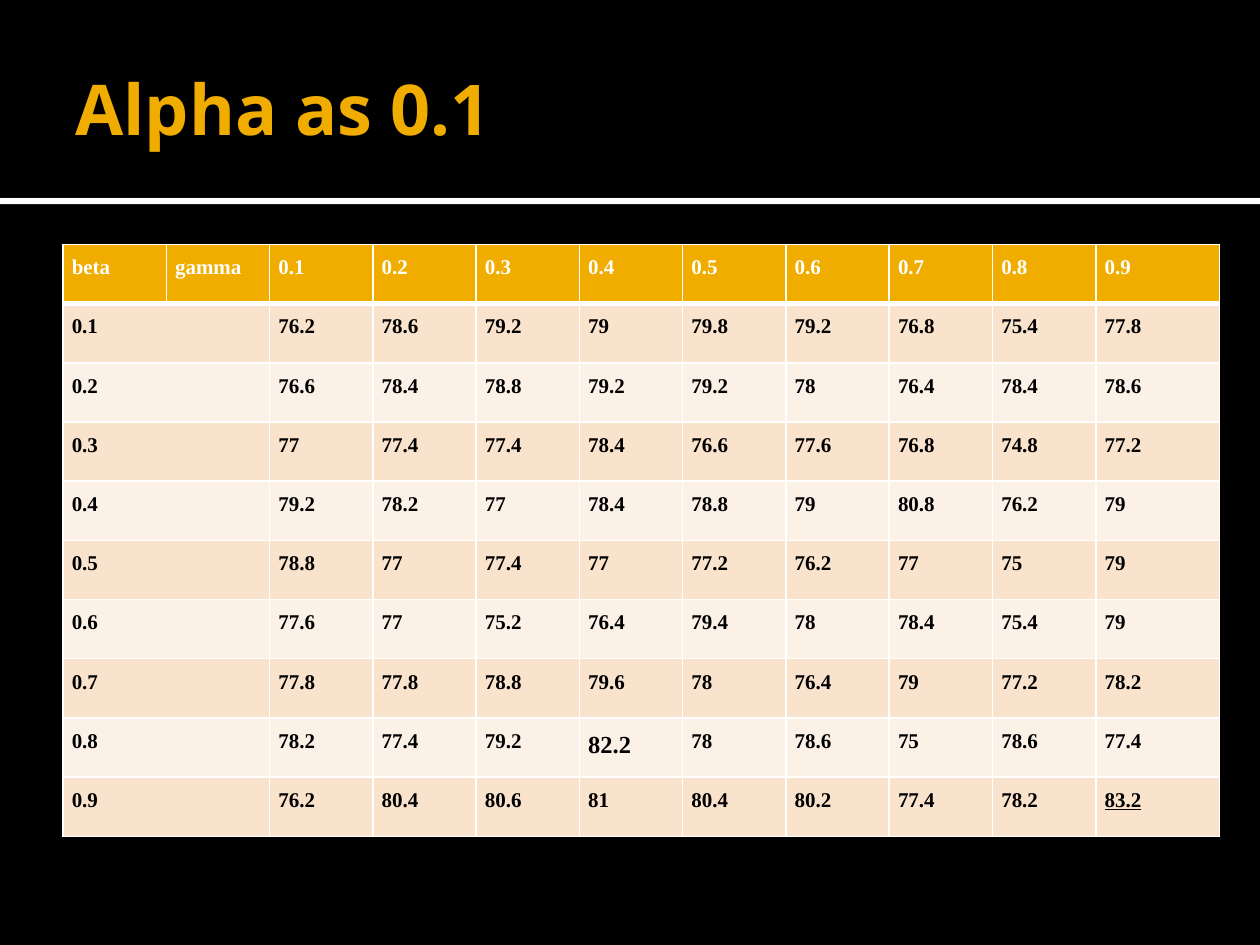
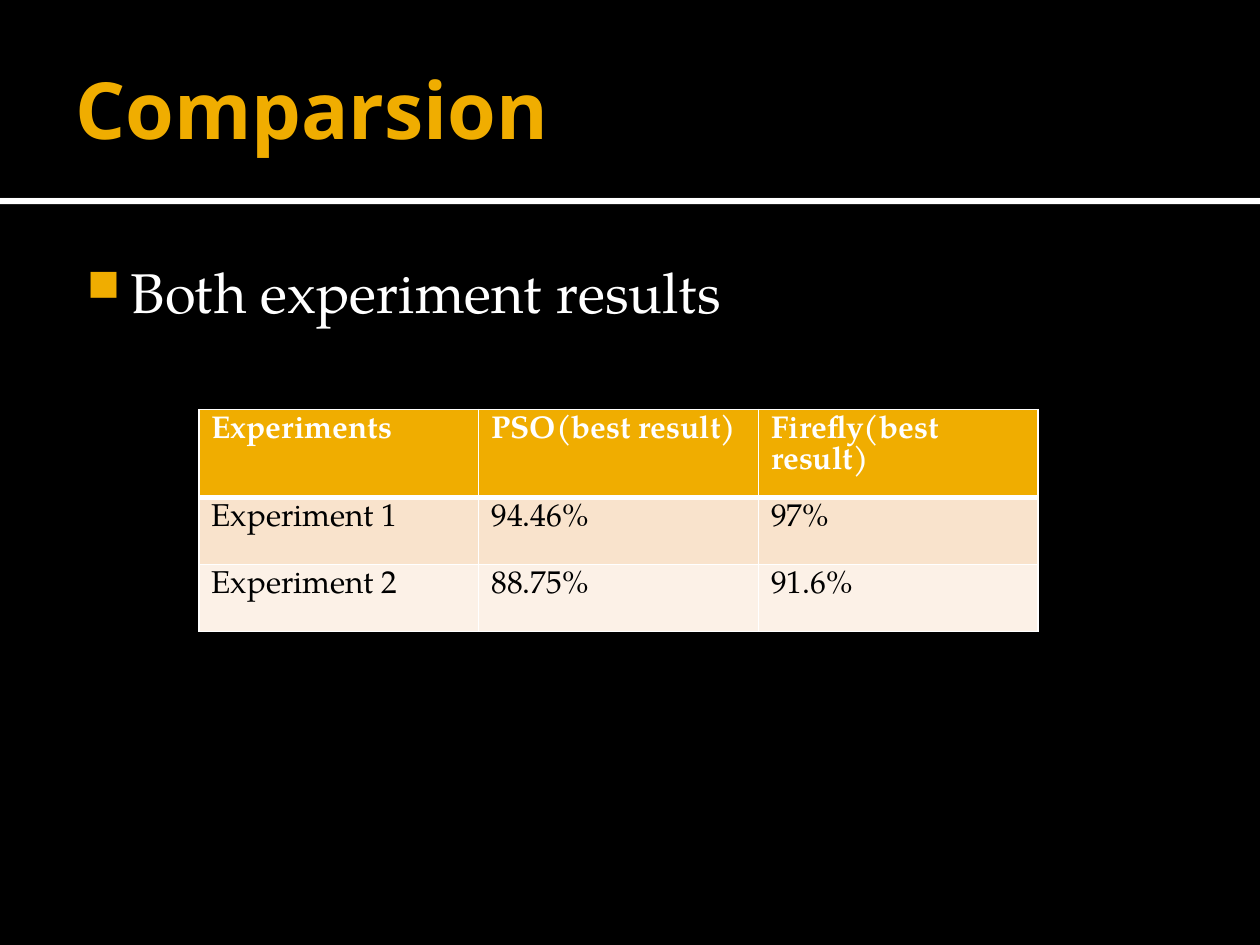
from lxml import etree
from pptx import Presentation
from pptx.dml.color import RGBColor
from pptx.enum.shapes import MSO_SHAPE
from pptx.enum.text import MSO_ANCHOR, PP_ALIGN
from pptx.oxml.ns import qn
from pptx.util import Inches, Pt

# Shared style
BLACK = RGBColor(0x00, 0x00, 0x00)
WHITE = RGBColor(0xFF, 0xFF, 0xFF)
GOLD = RGBColor(0xF0, 0xAD, 0x00)
DARK_BAND = RGBColor(0xF9, 0xE3, 0xCC)
LIGHT_BAND = RGBColor(0xFC, 0xF1, 0xE7)
TITLE_FONT = "Open Sans"
BODY_FONT = "TeX Gyre Pagella"
DATA_FONT = "Times New Roman"
RECTANGLE = MSO_SHAPE.RECTANGLE
TOP, MIDDLE = MSO_ANCHOR.TOP, MSO_ANCHOR.MIDDLE
JUSTIFY = PP_ALIGN.JUSTIFY
THIN, THICK = 1, 3

# Accuracy for each beta (first value of a row) and gamma (column)
GAMMAS = [f"0.{step}" for step in range(1, 10)]
ACCURACY = """
0.1 76.2 78.6 79.2 79 79.8 79.2 76.8 75.4 77.8
0.2 76.6 78.4 78.8 79.2 79.2 78 76.4 78.4 78.6
0.3 77 77.4 77.4 78.4 76.6 77.6 76.8 74.8 77.2
0.4 79.2 78.2 77 78.4 78.8 79 80.8 76.2 79
0.5 78.8 77 77.4 77 77.2 76.2 77 75 79
0.6 77.6 77 75.2 76.4 79.4 78 78.4 75.4 79
0.7 77.8 77.8 78.8 79.6 78 76.4 79 77.2 78.2
0.8 78.2 77.4 79.2 82.2 78 78.6 75 78.6 77.4
0.9 76.2 80.4 80.6 81 80.4 80.2 77.4 78.2 83.2
"""


def write_text(frame, text, font=BODY_FONT, size=18, color=WHITE, bold=False,
               underline=False, align=None, line_spacing=None, space_after=None):
    """Put one formatted paragraph in a text frame and return it."""
    paragraph = frame.paragraphs[0]
    paragraph.alignment = align
    paragraph.line_spacing = line_spacing
    if space_after is not None:
        paragraph.space_after = Pt(space_after)
    run = paragraph.add_run()
    run.text = text
    run.font.name = font
    run.font.size = Pt(size)
    run.font.color.rgb = color
    run.font.bold = bold
    run.font.underline = underline
    return paragraph


def set_borders(cell, **widths):
    """Draw white cell borders; widths in points by side (L, R, T, B)."""
    properties = cell._tc.get_or_add_tcPr()
    for side in "LRTB":
        width = Pt(widths.get(side, THIN))
        line = etree.SubElement(properties, qn(f"a:ln{side}"), w=str(int(width)))
        fill = etree.SubElement(line, qn("a:solidFill"))
        etree.SubElement(fill, qn("a:srgbClr"), val=str(WHITE))


class Deck:
    """Holds the presentation, its style and the current slide."""

    def __init__(self):
        self.presentation = Presentation()
        self.presentation.slide_width = Inches(10)
        self.presentation.slide_height = Inches(7.5)
        self.slide = None

    def add_slide(self, title, title_size):
        blank = self.presentation.slide_layouts[6]
        self.slide = self.presentation.slides.add_slide(blank)
        background = self.slide.background.fill
        background.solid()
        background.fore_color.rgb = BLACK
        self.band(1.57, 0.05, WHITE)
        self.band(0, 1.57, BLACK)
        frame = self.text_box(0.5, 0.17, 9, 1.37, (0.1, 0.05, 0.05, 0.05), MIDDLE)
        write_text(frame, title, font=TITLE_FONT, size=title_size, color=GOLD, bold=True)

    def band(self, top, height, color):
        shape = self.slide.shapes.add_shape(
            RECTANGLE, 0, Inches(top), self.presentation.slide_width, Inches(height))
        shape.shadow.inherit = False
        shape.fill.solid()
        shape.fill.fore_color.rgb = color
        shape.line.fill.background()

    def text_box(self, left, top, width, height, insets, anchor=TOP):
        box = self.slide.shapes.add_textbox(
            Inches(left), Inches(top), Inches(width), Inches(height))
        frame = box.text_frame
        frame.word_wrap = True
        frame.vertical_anchor = anchor
        (frame.margin_left, frame.margin_top,
         frame.margin_right, frame.margin_bottom) = map(Inches, insets)
        return frame

    def bullet(self, text):
        frame = self.text_box(0.5, 1.94, 9, 5.06, (0.06, 0.1, 0.1, 0.05))
        paragraph = write_text(frame, text, size=32)
        properties = paragraph._p.get_or_add_pPr()
        properties.set("marL", str(Inches(0.48)))
        properties.set("indent", str(Inches(-0.35)))
        color = etree.SubElement(properties, qn("a:buClr"))
        etree.SubElement(color, qn("a:srgbClr"), val=str(GOLD))
        etree.SubElement(properties, qn("a:buSzPct"), val="80000")
        etree.SubElement(properties, qn("a:buChar"), char="■")

    def table(self, left, top, widths, row_height, rows, side_margin=0.1,
              end_margin=0.05, special=None, **text_format):
        """Add a banded table; None continues the cell on its left.

        special maps (row, column) to text format for single cells.
        """
        special = special or {}
        table = self.slide.shapes.add_table(
            len(rows), len(widths), Inches(left), Inches(top),
            Inches(sum(widths)), Inches(row_height * len(rows))).table
        table.horz_banding = False
        for column, width in zip(table.columns, widths):
            column.width = Inches(width)
        for row_index, values in enumerate(rows):
            table.rows[row_index].height = Inches(row_height)
            header = row_index == 0
            band = GOLD if header else DARK_BAND if row_index % 2 else LIGHT_BAND
            for column_index, value in enumerate(values):
                cell = table.cell(row_index, column_index)
                cell.margin_left = cell.margin_right = Inches(side_margin)
                cell.margin_top = cell.margin_bottom = Inches(end_margin)
                set_borders(cell, T=THICK if row_index == 1 else THIN,
                            B=THICK if header else THIN)
                cell.fill.solid()
                cell.fill.fore_color.rgb = band
                if value is None:
                    table.cell(row_index, column_index - 1).merge(cell)
                    continue
                cell_format = {"color": WHITE if header else BLACK, "bold": header,
                               **text_format, **special.get((row_index, column_index), {})}
                write_text(cell.text_frame, value, **cell_format)


deck = Deck()

# Slide 1: accuracy grid
deck.add_slide("Alpha as 0.1", title_size=40)
accuracy_rows = [["beta", "gamma", *GAMMAS]]
for line in ACCURACY.strip().splitlines():
    beta, *values = line.split()
    accuracy_rows.append([beta, None, *values])
deck.table(0.5, 1.94, [0.82] * 10 + [0.98], 0.47, accuracy_rows,
           side_margin=0.07, end_margin=0,
           special={(0, 0): {"space_after": 0}, (8, 5): {"size": 14},
                    (9, 10): {"underline": True}},
           font=DATA_FONT, size=12, bold=True, align=JUSTIFY,
           line_spacing=1.5, space_after=10)

# Slide 2: best results of both methods
deck.add_slide("Comparsion", title_size=45)
deck.bullet("Both experiment results")
deck.table(1.58, 3.25, [2.22] * 3, 0.53, [
    ["Experiments", "PSO(best result)", "Firefly(best result)"],
    ["Experiment 1", "94.46%", "97%"],
    ["Experiment 2", "88.75%", "91.6%"],
])

deck.presentation.save("out.pptx")
